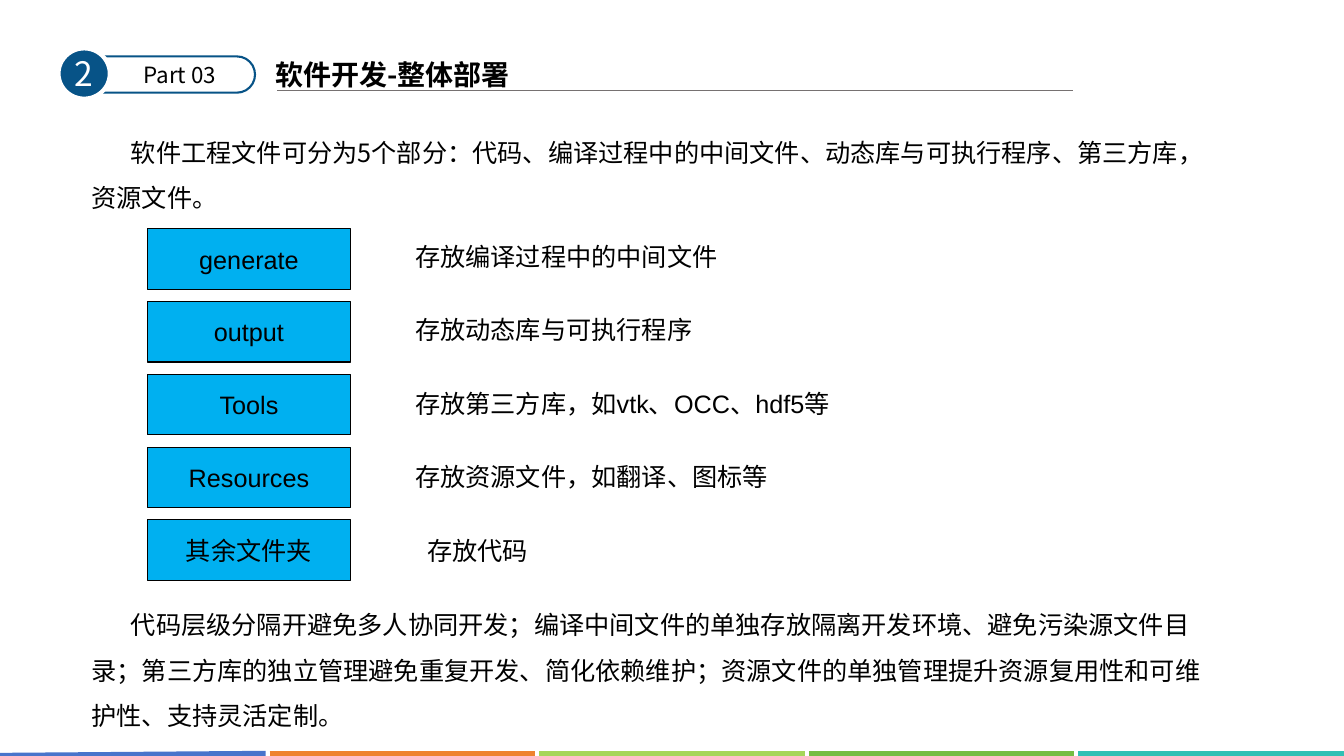
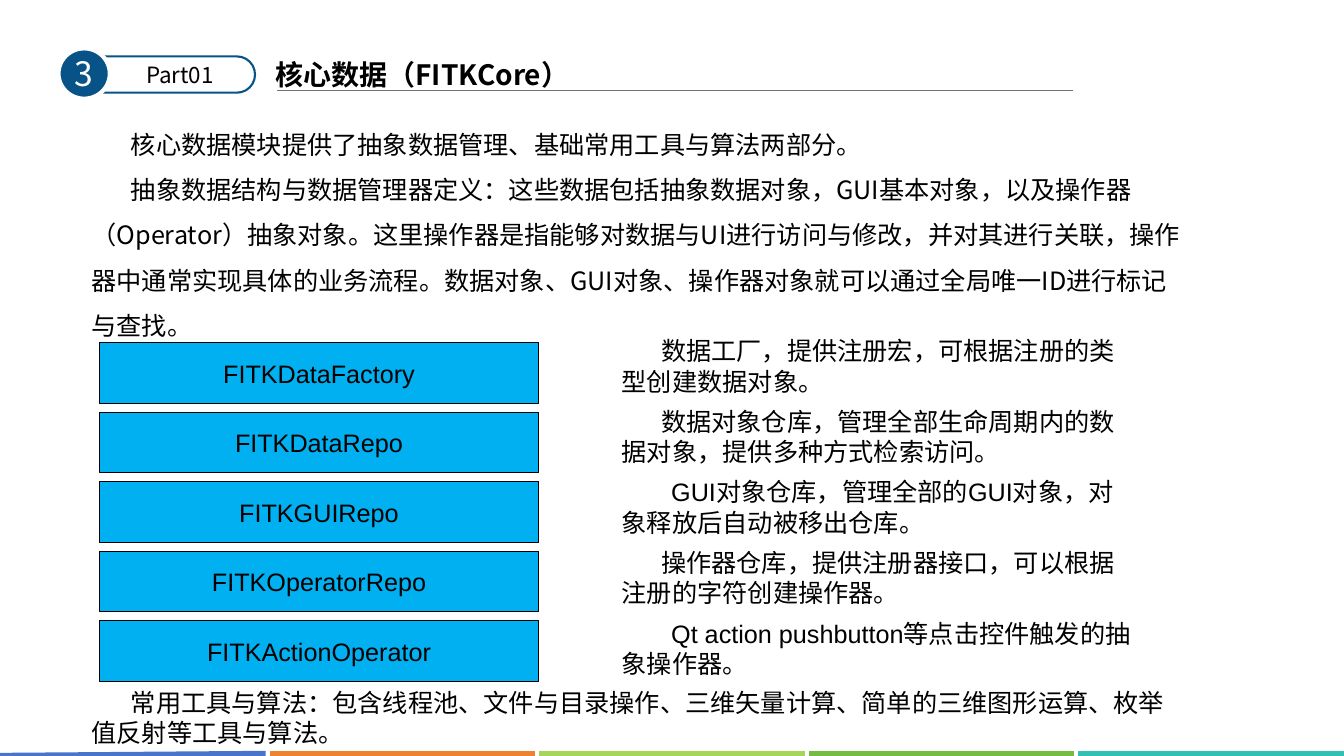
import pptx
import pptx.util
import pptx.dml.color
import pptx.enum.shapes
import pptx.enum.text
import pptx.oxml.ns
import lxml.etree

RGBColor = pptx.dml.color.RGBColor
Shape = pptx.enum.shapes.MSO_SHAPE
Align = pptx.enum.text.PP_ALIGN
Anchor = pptx.enum.text.MSO_ANCHOR
qn = pptx.oxml.ns.qn

BLACK = RGBColor(0x00, 0x00, 0x00)
WHITE = RGBColor(0xFF, 0xFF, 0xFF)
NAVY = RGBColor(0x07, 0x53, 0x87)
SKY = RGBColor(0x00, 0xB0, 0xF0)
GREY = RGBColor(0x76, 0x71, 0x71)
BANDS = [
    RGBColor(0x48, 0x74, 0xCB),
    RGBColor(0xEE, 0x82, 0x2F),
    RGBColor(0xA6, 0xD6, 0x59),
    RGBColor(0x75, 0xBD, 0x42),
    RGBColor(0x30, 0xC0, 0xB4),
]
SANS = "Arial"
HAN = "Noto Sans CJK SC"

CELL = pptx.util.Inches(0.1)
COLUMNS, ROWS = 133.33, 75
BAND_GAP = 0.4
BAND_STEP = (COLUMNS + BAND_GAP) / len(BANDS)
BOX_HEIGHT = 6
INDENT = 3.9
LATIN_INDENT = 4.9

PAGES = [
    {
        "title": "软件开发-整体部署",
        "number": "2",
        "part": "Part 03",
        "texts": [
            ((8.1, 11.6, 111.1, 10.1), 1.5, [
                "软件工程文件可分为5个部分：代码、编译过程中的中间文件、动态库与可执行程序、第三方库，资源文件。",
            ]),
            ((8.1, 58.5, 113, 14.6), 1.5, [
                "代码层级分隔开避免多人协同开发；编译中间文件的单独存放隔离开发环境、避免污染源文件目录；第三方库的独立管理避免重复开发、简化依赖维护；资源文件的单独管理提升资源复用性和可维护性、支持灵活定制。",
            ]),
        ],
        "box": (14.6, 22.7, 20.2, 7.22),
        "note": (40.2, 23.4, 44.4, 4, 7.3),
        "items": [
            ("generate", "存放编译过程中的中间文件", 0),
            ("output", "存放动态库与可执行程序", 0),
            ("Tools", "存放第三方库，如vtk、OCC、hdf5等", 0),
            ("Resources", "存放资源文件，如翻译、图标等", 0),
            ("其余文件夹", "存放代码", 1.2),
        ],
    },
    {
        "title": "核心数据（FITKCore）",
        "number": "3",
        "part": "Part01",
        "texts": [
            ((8.1, 10.8, 110.6, 23.7), 1.5, [
                "核心数据模块提供了抽象数据管理、基础常用工具与算法两部分。",
                "抽象数据结构与数据管理器定义：这些数据包括抽象数据对象，GUI基本对象，以及操作器（Operator）抽象对象。这里操作器是指能够对数据与UI进行访问与修改，并对其进行关联，操作器中通常实现具体的业务流程。数据对象、GUI对象、操作器对象就可以通过全局唯一ID进行标记与查找。",
            ]),
            ((8.1, 67.7, 110.6, 7.1), 1, [
                "常用工具与算法：包含线程池、文件与目录操作、三维矢量计算、简单的三维图形运算、枚举值反射等工具与算法。",
            ]),
        ],
        "box": (9.9, 34, 43.5, 6.9),
        "note": (60.7, 32.8, 53.2, 7.1, 7),
        "items": [
            ("FITKDataFactory", "数据工厂，提供注册宏，可根据注册的类型创建数据对象。", INDENT),
            ("FITKDataRepo", "数据对象仓库，管理全部生命周期内的数据对象，提供多种方式检索访问。", INDENT),
            ("FITKGUIRepo", "GUI对象仓库，管理全部的GUI对象，对象释放后自动被移出仓库。", LATIN_INDENT),
            ("FITKOperatorRepo", "操作器仓库，提供注册器接口，可以根据注册的字符创建操作器。", INDENT),
            ("FITKActionOperator", "Qt action pushbutton等点击控件触发的抽象操作器。", LATIN_INDENT),
        ],
    },
]


def add_box(page, kind, area, fill=None, line=None, weight=0):
    lengths = [round(length * CELL) for length in area]
    if kind is None:
        return page.shapes.add_textbox(*lengths)
    box = page.shapes.add_shape(kind, *lengths)
    box.shadow.inherit = False
    box.fill.solid()
    box.fill.fore_color.rgb = fill
    box.line.color.rgb = line
    box.line.width = pptx.util.Pt(weight)
    return box


def write(box, texts, size=18, font=SANS, color=BLACK, align=Align.LEFT,
          anchor=Anchor.TOP, indent=0, spacing=1, bold=False):
    frame = box.text_frame
    frame.word_wrap = True
    frame.auto_size = pptx.enum.text.MSO_AUTO_SIZE.NONE
    frame.vertical_anchor = anchor
    for index, text in enumerate(texts):
        para = frame.add_paragraph() if index else frame.paragraphs[0]
        para.alignment = align
        para.line_spacing = spacing
        para.space_before = pptx.util.Pt(0)
        para._p.get_or_add_pPr().set("indent", str(round(indent * CELL)))
        span = para.add_run()
        span.text = text
        span.font.size = pptx.util.Pt(size)
        span.font.bold = bold
        span.font.color.rgb = color
        span.font.name = font
        lxml.etree.SubElement(span._r.get_or_add_rPr(), qn("a:ea")).set("typeface", HAN)


deck = pptx.Presentation()
deck.slide_width = round(COLUMNS * CELL)
deck.slide_height = ROWS * CELL

rules = [(27.5, 9, 106.4, 9, GREY, 1)]
for index, color in enumerate(BANDS):
    left = index * BAND_STEP
    start_row = 74.8 if index else ROWS
    rules.append((left, start_row, left + BAND_STEP - BAND_GAP, 74.8, color, 4.5))

for content in PAGES:
    page = deck.slides.add_slide(deck.slide_layouts[5])

    for *ends, color, weight in rules:
        rule = page.shapes.add_connector(
            pptx.enum.shapes.MSO_CONNECTOR.STRAIGHT,
            *[round(end * CELL) for end in ends])
        rule.line.color.rgb = color
        rule.line.width = pptx.util.Pt(weight)
        lxml.etree.SubElement(rule._element.spPr, qn("a:effectLst"))

    title = page.shapes.title
    title.left, title.top, title.width, title.height = [
        round(length * CELL) for length in (26.3, 5.2, 88.6, 4.4)]
    write(title, [content["title"]], size=20, font=HAN, bold=True)

    pill = add_box(page, Shape.ROUNDED_RECTANGLE, (6.5, 5.6, 18.8, 3.6), WHITE, NAVY, 1.5)
    pill.adjustments[0] = 0.5
    badge = add_box(page, Shape.OVAL, (5.8, 4.8, 5.1, 5), NAVY, WHITE, 3)
    badge.text_frame.margin_left = badge.text_frame.margin_right = 0
    badge.text_frame.margin_top = badge.text_frame.margin_bottom = 0
    write(badge, [content["number"]], size=24, font=HAN, color=WHITE,
          align=Align.CENTER, anchor=Anchor.MIDDLE)
    part = add_box(page, None, (8.1, 5.6, 19.5, 3.7))
    write(part, [content["part"]], size=16, font=HAN, align=Align.CENTER)

    for area, spacing, texts in content["texts"]:
        write(add_box(page, None, area), texts, font=HAN, indent=INDENT, spacing=spacing)

    box_left, box_top, box_width, box_step = content["box"]
    note_left, note_top, note_width, note_height, note_step = content["note"]
    for row, (name, note, indent) in enumerate(content["items"]):
        box = add_box(page, Shape.RECTANGLE,
                      (box_left, box_top + row * box_step, box_width, BOX_HEIGHT),
                      SKY, BLACK, 0.75)
        write(box, [name], align=Align.CENTER, anchor=Anchor.MIDDLE)
        note_box = add_box(page, None,
                           (note_left, note_top + row * note_step, note_width, note_height))
        write(note_box, [note], indent=indent)

deck.save("out.pptx")
